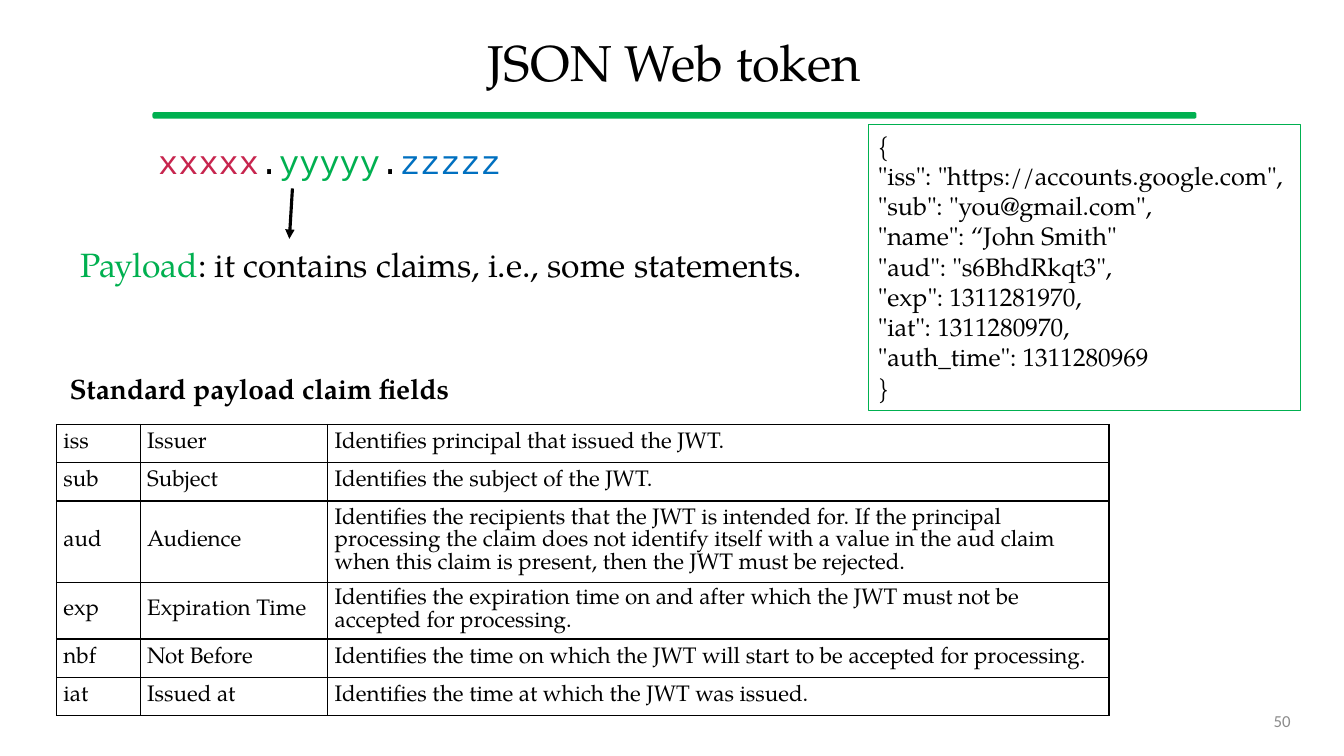
from lxml import etree
from pptx import Presentation
from pptx import util as u
from pptx.dml.color import RGBColor
from pptx.enum import shapes, text
from pptx.oxml import ns

BLACK = RGBColor(0x00, 0x00, 0x00)
GREEN = RGBColor(0x00, 0xB0, 0x50)
RED = RGBColor(0xC7, 0x25, 0x4E)
BLUE = RGBColor(0x00, 0x70, 0xC0)
GREY = RGBColor(0x8C, 0x8C, 0x8C)
SERIF, SANS, MONO = "TeX Gyre Pagella", "Calibri", "Courier New"

CLAIM_COLUMNS = (6.23, 13.95, 58.14)
CLAIM_ROWS = (5.07, 5.07, 10.8, 7.47, 5.07, 5.07)
CLAIMS = (
    ("iss", "Issuer", "Identifies principal that issued the JWT."),
    ("sub", "Subject", "Identifies the subject of the JWT."),
    ("aud", "Audience",
     "Identifies the recipients that the JWT is intended for. If the principal "
     "processing the claim does not identify itself with a value in the aud claim "
     "when this claim is present, then the JWT must be rejected."),
    ("exp", "Expiration Time",
     "Identifies the expiration time on and after which the JWT must not be "
     "accepted for processing."),
    ("nbf", "Not Before",
     "Identifies the time on which the JWT will start to be accepted for processing."),
    ("iat", "Issued at", "Identifies the time at which the JWT was issued."),
)
PAYLOAD = '''{
"iss": "https://accounts.google.com",
"sub": "you@gmail.com",
"name": “John Smith"
"aud": "s6BhdRkqt3",
"exp": 1311281970,
"iat": 1311280970,
"auth_time": 1311280969
}'''


def assign(target, values):
    for name, value in values.items():
        setattr(target, name, value)


class Deck:
    """Holds the slide and its style; all places are percentages of the slide."""

    def __init__(self, width, height):
        self.deck = Presentation()
        self.deck.slide_width, self.deck.slide_height = u.Inches(width), u.Inches(height)
        self.slide = self.deck.slides.add_slide(self.deck.slide_layouts[5])
        self.shapes = self.slide.shapes

    def x(self, share):
        return round(self.deck.slide_width * share / 100)

    def y(self, share):
        return round(self.deck.slide_height * share / 100)

    def place(self, left, top, width, height):
        return self.x(left), self.y(top), self.x(width), self.y(height)

    def set_text(self, frame, paragraphs, size, font=SERIF, bold=False,
                 anchor=text.MSO_ANCHOR.TOP, **layout):
        """Fill a frame; each paragraph is a list of (words, colour) runs."""
        assign(frame, dict(word_wrap=True, auto_size=text.MSO_AUTO_SIZE.NONE,
                           vertical_anchor=anchor))
        for index, runs in enumerate(paragraphs):
            paragraph = frame.add_paragraph() if index else frame.paragraphs[0]
            assign(paragraph, {"alignment": text.PP_ALIGN.LEFT, **layout})
            for words, colour in runs:
                run = paragraph.add_run()
                run.text = words
                assign(run.font, dict(name=font, size=u.Pt(size), bold=bold))
                run.font.color.rgb = colour

    def title(self, box, words):
        title = self.shapes.title
        assign(title, dict(zip(("left", "top", "width", "height"), self.place(*box))))
        self.set_text(title.text_frame, [[(words, BLACK)]], 36,
                      anchor=text.MSO_ANCHOR.MIDDLE,
                      alignment=text.PP_ALIGN.CENTER, line_spacing=0.9)

    def label(self, box, runs, size, **style):
        frame = self.shapes.add_textbox(*self.place(*box)).text_frame
        self.set_text(frame, [runs], size, **style)

    def panel(self, kind, box, line_width):
        panel = self.shapes.add_shape(kind, *self.place(*box))
        panel.shadow.inherit = False
        panel.line.color.rgb = GREEN
        panel.line.width = u.Pt(line_width)
        return panel

    def title_rule(self, box):
        rule = self.panel(shapes.MSO_SHAPE.ROUNDED_RECTANGLE, box, 1)
        rule.adjustments[0] = 0.26
        rule.fill.solid()
        rule.fill.fore_color.rgb = GREEN

    def code(self, box, listing):
        panel = self.panel(shapes.MSO_SHAPE.RECTANGLE, box, 0.75)
        panel.fill.background()
        self.set_text(panel.text_frame,
                      [[(line, BLACK)] for line in listing.splitlines()], 18)

    def arrow(self, start, end):
        arrow = self.shapes.add_connector(
            shapes.MSO_CONNECTOR.STRAIGHT, self.x(start[0]), self.y(start[1]),
            self.x(end[0]), self.y(end[1]))
        arrow.line.color.rgb = BLACK
        arrow.line.width = u.Pt(2.25)
        outline = arrow._element.spPr.find(ns.qn("a:ln"))
        etree.SubElement(outline, ns.qn("a:tailEnd"), type="triangle")
        etree.SubElement(arrow._element.spPr, ns.qn("a:effectLst"))

    def border(self, cell):
        properties = cell._tc.get_or_add_tcPr()
        for index, side in enumerate(("lnL", "lnR", "lnT", "lnB")):
            line = etree.Element(ns.qn(f"a:{side}"), w=str(u.Pt(1)))
            fill = etree.SubElement(line, ns.qn("a:solidFill"))
            etree.SubElement(fill, ns.qn("a:srgbClr"), val=str(BLACK))
            properties.insert(index, line)

    def table(self, left, top, columns, rows, content):
        box = self.place(left, top, sum(columns), sum(rows))
        table = self.shapes.add_table(len(rows), len(columns), *box).table
        assign(table, dict(first_row=False, horz_banding=False))
        for column, share in zip(table.columns, columns):
            column.width = self.x(share)
        for row, share, entries in zip(table.rows, rows, content):
            row.height = self.y(share)
            for cell, words in zip(row.cells, entries):
                assign(cell, dict(margin_left=u.Inches(0.07), margin_right=u.Inches(0.07),
                                  margin_top=u.Inches(0.03), margin_bottom=u.Inches(0.03)))
                self.set_text(cell.text_frame, [[(words, BLACK)]], 16)
                cell.vertical_anchor = text.MSO_ANCHOR.MIDDLE
                cell.fill.background()
                self.border(cell)


def main():
    deck = Deck(13.33, 7.5)
    deck.title_rule((11.4, 14.93, 77.57, 0.67))
    deck.title((3.53, 2.4, 93.25, 12.53), "JSON Web token")
    deck.label((70.67, 92.67, 26.11, 5.33), [("50", GREY)], 12, font=SANS,
               anchor=text.MSO_ANCHOR.MIDDLE, alignment=text.PP_ALIGN.RIGHT)
    deck.label((11.03, 18.53, 37.5, 6.67),
               [("xxxxx", RED), (".", BLACK), ("yyyyy", GREEN), (".", BLACK), ("zzzzz", BLUE)],
               24, font=MONO, line_spacing=0.9)
    deck.label((5.25, 31.6, 68.87, 6.67),
               [("Payload", GREEN), (": it contains claims, i.e., some statements.", BLACK)], 24)
    deck.arrow((21.76, 24.93), (21.53, 31.6))
    deck.table(4.2, 56.13, CLAIM_COLUMNS, CLAIM_ROWS, CLAIMS)
    deck.label((0, 48.53, 38.63, 5.87), [("Standard payload claim fields", BLACK)], 20,
               bold=True, alignment=text.PP_ALIGN.CENTER)
    deck.code((64.59, 16.53, 32.18, 37.73), PAYLOAD)
    deck.deck.save("out.pptx")


if __name__ == "__main__":
    main()
